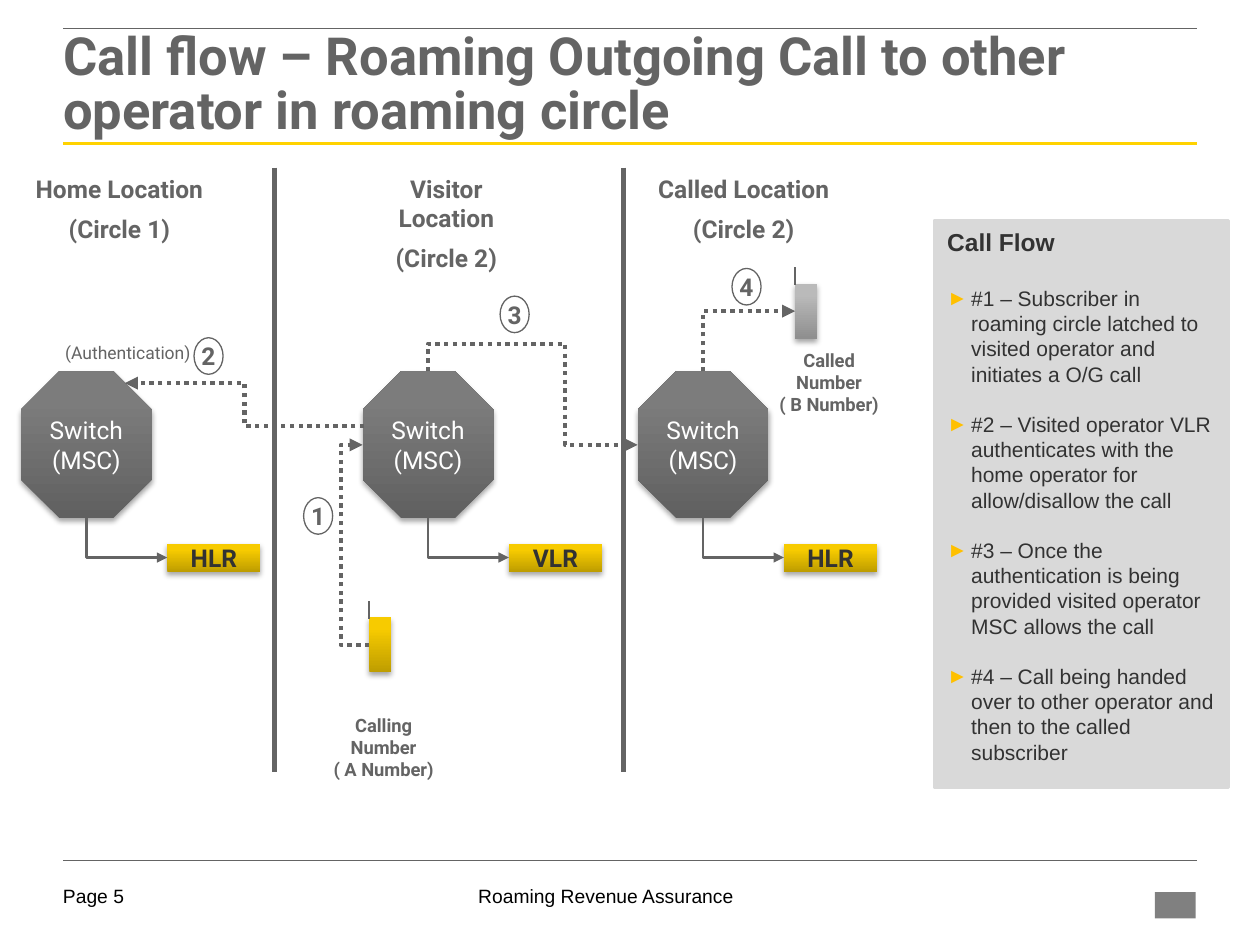
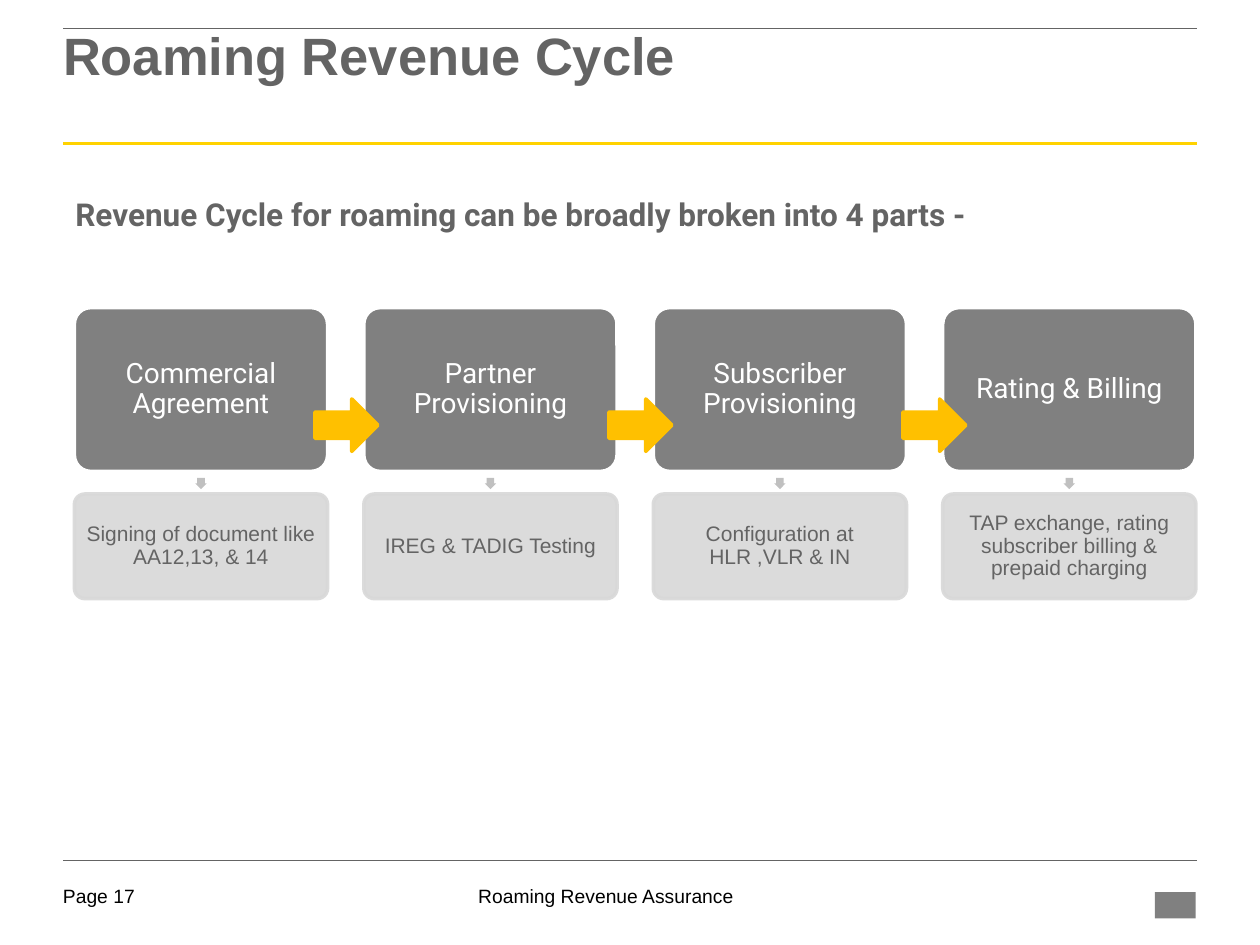
from dataclasses import dataclass

from lxml import etree
from pptx import Presentation
from pptx.dml.color import RGBColor
from pptx.enum import dml, shapes, text
from pptx.oxml.ns import qn
from pptx.util import Pt

KIND = shapes.MSO_SHAPE
ALIGN = text.PP_ALIGN
ANCHOR = text.MSO_ANCHOR


@dataclass(frozen=True)
class Theme:
    sans: str = "Arial"
    display: str = "Roboto"
    grey: str = "646464"
    dark: str = "323232"
    black: str = "000000"
    white: str = "FFFFFF"
    rule: str = "FFD200"
    accent: str = "FFC000"
    card: str = "808080"
    panel: str = "D9D9D9"
    detail: str = "D8D8D8"
    pointer: str = "C0C0C0"
    switch_shade: tuple = ("606060", "7C7C7C")
    gold_shade: tuple = ("BE9D00", "F7CB00")
    silver_shade: tuple = ("8F8F8F", "BABABA")
    title: float = 30
    lead: float = 18
    step: float = 16
    label: float = 14
    body: float = 12
    footer: float = 11
    phone: float = 10.5
    note: float = 10


T = Theme()


def points(*lengths):
    return [Pt(length) for length in lengths]


def rgb(code):
    return RGBColor.from_string(code)


def add_xml(parent, tag, **attributes):
    return etree.SubElement(parent, qn(tag), {k: str(v) for k, v in attributes.items()})


def style_runs(paragraph, size, color, font, bold=False):
    for run in paragraph.runs:
        run.font.size, run.font.bold, run.font.name = Pt(size), bold, font
        run.font.color.rgb = rgb(color)


def write(shape, words, size, color=T.grey, font=T.display, bold=False, align=ALIGN.CENTER,
          anchor=ANCHOR.TOP, insets=(7.2, 3.6, 7.2, 3.6), wrap=True, before=0, spacing=None):
    frame = shape.text_frame
    frame.text = words
    frame.auto_size = text.MSO_AUTO_SIZE.NONE
    frame.word_wrap, frame.vertical_anchor = wrap, anchor
    (frame.margin_left, frame.margin_top,
     frame.margin_right, frame.margin_bottom) = points(*insets)
    for index, paragraph in enumerate(frame.paragraphs):
        paragraph.alignment = align
        if before and index:
            paragraph.space_before = Pt(before)
        if spacing:
            paragraph.line_spacing = spacing
        style_runs(paragraph, size, color, font, bold)


def add_label(slide, box, words, size, **style):
    write(slide.shapes.add_textbox(*points(*box)), words, size, **style)


def add_block(slide, kind, box, fill=None, outline=None, width=2):
    block = slide.shapes.add_shape(kind, *points(*box))
    block.shadow.inherit = False
    if fill:
        block.fill.solid()
        block.fill.fore_color.rgb = rgb(fill)
    else:
        block.fill.background()
    if outline:
        block.line.color.rgb, block.line.width = rgb(outline), Pt(width)
    else:
        block.line.fill.background()
    return block


def add_shaded(slide, kind, box, shade):
    """Add a block with a vertical gradient and a soft shadow below."""
    block = add_block(slide, kind, box)
    block.fill.gradient()
    block.fill.gradient_angle = 90
    for stop, color, position in zip(block.fill.gradient_stops, shade, (0, 0.8)):
        stop.color.rgb, stop.position = rgb(color), position
    effects = block._element.spPr.find(qn("a:effectLst"))
    shadow = add_xml(effects, "a:outerShdw", blurRad=Pt(3.1), dist=Pt(1.8),
                     dir=5400000, rotWithShape=0)
    add_xml(add_xml(shadow, "a:srgbClr", val=T.black), "a:alpha", val=35000)
    return block


def add_line(slide, start, end, color=T.grey, width=1.25, kind=shapes.MSO_CONNECTOR.STRAIGHT):
    line = slide.shapes.add_connector(kind, *points(*start, *end))
    line.line.color.rgb, line.line.width = rgb(color), Pt(width)
    add_xml(line._element.spPr, "a:effectLst")
    return line


def add_elbow(slide, start, end, bends, turn, flip=None, adjust=(), dotted=True):
    """Add a bent arrow; its unturned box is centred between start and end."""
    width, height = abs(end[0] - start[0]), abs(end[1] - start[1])
    if turn % 180:
        width, height = height, width
    left = (start[0] + end[0] - width) / 2
    top = (start[1] + end[1] - height) / 2
    arrow = add_line(slide, (left, top), (left + width, top + height),
                     width=2.5 if dotted else 1.5, kind=shapes.MSO_CONNECTOR.ELBOW)
    if dotted:
        arrow.line.dash_style = dml.MSO_LINE.ROUND_DOT
    add_xml(arrow.line._get_or_add_ln(), "a:tailEnd", type="triangle")
    properties = arrow._element.spPr
    placing = properties.find(qn("a:xfrm"))
    placing.set("rot", str(turn * 60000))
    if flip:
        placing.set(flip, "1")
    geometry = properties.find(qn("a:prstGeom"))
    geometry.set("prst", f"bentConnector{bends}")
    guides = geometry.find(qn("a:avLst"))
    for number, value in enumerate(adjust, 1):
        add_xml(guides, "a:gd", name=f"adj{number}", fmla=f"val {round(value * 100000)}")


def add_page(deck, title, page, title_font):
    """Add a slide with the shared rules, footer and formatted title."""
    slide = deck.slides.add_slide(deck.slide_layouts[5])
    for y, color, width in ((16, T.grey, 0.5), (82, T.rule, 1.5), (491.5, T.grey, 0.25)):
        add_line(slide, (36, y), (684, y), color, width)
    footer = dict(size=T.footer, color=T.black, font=T.sans, insets=(0, 0, 0, 0))
    add_label(slide, (198, 505.4, 296.6, 16.6), "Roaming Revenue Assurance", **footer)
    add_label(slide, (36, 505.4, 52.6, 16), f"Page {page}", align=ALIGN.LEFT, **footer)
    add_block(slide, KIND.RECTANGLE, (660, 509.8, 23.3, 15), T.card)
    heading = slide.shapes.title
    heading.left, heading.top, heading.width, heading.height = points(36, 16, 648, 67.7)
    write(heading, title, T.title, font=title_font, bold=True, align=ALIGN.LEFT,
          insets=(0, 2.9, 0, 0), spacing=0.85)
    return slide


def add_location(slide, left, heading_left, heading, register):
    """Add one network column: heading, switch and the register below it."""
    add_label(slide, (heading_left, 95.8, 112.5, 64), heading, T.label, bold=True, before=6)
    middle = dict(anchor=ANCHOR.MIDDLE, wrap=False)
    switch = add_shaded(slide, KIND.OCTAGON, (left, 212.2, 74.8, 83.8), T.switch_shade)
    switch.adjustments[0] = 0.293
    write(switch, "Switch\n(MSC)", T.label, color=T.white, **middle)
    store = add_shaded(slide, KIND.RECTANGLE, (left + 83.6, 311, 53.3, 15.8), T.gold_shade)
    write(store, register, T.label, color=T.dark, bold=True, **middle)
    add_elbow(slide, (left + 37.4, 296), (left + 83.6, 318.6), 2, 270, "flipH", dotted=False)


def add_phone(slide, left, top, shade, label_box, label):
    add_shaded(slide, KIND.RECTANGLE, (left, top, 12.4, 31.5), shade)
    add_line(slide, (left, top + 0.7), (left, top - 9.5))
    add_label(slide, label_box, label, T.phone, bold=True)


def add_call_notes(slide, box, heading, notes):
    panel = add_block(slide, KIND.RECTANGLE, box, T.panel, T.panel)
    write(panel, "\n".join([heading, *notes]), T.body, T.dark, T.sans, align=ALIGN.LEFT)
    first, *items = panel.text_frame.paragraphs
    style_runs(first, T.label, T.dark, T.sans, True)
    for index, item in enumerate(items):
        layout = item._p.get_or_add_pPr()
        layout.set("marL", str(Pt(13.7)))
        layout.set("indent", str(Pt(-13.7)))
        add_xml(add_xml(layout, "a:buClr"), "a:srgbClr", val=T.accent)
        add_xml(layout, "a:buFont", typeface=T.sans)
        add_xml(layout, "a:buChar", char="►")
        item.space_before = Pt(14.4 if index else 16.8)


def build_call_flow(deck):
    slide = add_page(deck, "Call flow – Roaming Outgoing Call to other operator in roaming circle",
                     5, T.display)
    home, visited, called = 12, 207.2, 364.4
    for x in (157, 356.4):
        add_line(slide, (x, 95.8), (x, 441.4), width=3)
    for left, heading_left, heading, register in (
            (home, 12, "Home Location\n(Circle 1)", "HLR"),
            (visited, 198.8, "Visitor Location\n(Circle 2)", "VLR"),
            (called, 368.7, "Called Location\n(Circle 2)", "HLR")):
        add_location(slide, left, heading_left, heading, register)
    add_phone(slide, 454.4, 162, T.silver_shade, (437.8, 195.8, 72, 58.3),
              "Called Number\n( B Number)")
    add_phone(slide, 211, 352.8, T.gold_shade, (177.8, 404.6, 82.8, 45),
              "Calling Number\n( A Number)")

    add_elbow(slide, (211, 368.6), (visited, 254.2), 3, 180, adjust=(4.3,))
    add_elbow(slide, (208, 243.4), (71.3, 218.9), 3, 180, adjust=(0.5,))
    add_elbow(slide, (visited + 37.4, 212.2), (called, 254.2), 4, 90, "flipV", (-0.375, 0.655))
    add_elbow(slide, (called + 37.4, 212.2), (454.4, 177.8), 2, 270)
    add_label(slide, (30.2, 192.2, 102.2, 19.4), "(Authentication)", T.note, align=ALIGN.LEFT)
    for number, left, top in ((1, 173.5, 284.4), (2, 110.9, 193), (3, 285.8, 169.2),
                              (4, 418.3, 153.4)):
        marker = add_block(slide, KIND.OVAL, (left, top, 16.6, 20.9), outline=T.grey, width=0.75)
        write(marker, str(number), T.label, bold=True, anchor=ANCHOR.MIDDLE, wrap=False)

    add_call_notes(slide, (534.2, 126, 167.8, 324), "Call Flow", (
        "#1 – Subscriber in roaming circle latched to visited operator and initiates a O/G call",
        "#2 – Visited operator VLR authenticates with the home operator for allow/disallow the call",
        "#3 – Once the authentication is being provided visited operator MSC allows the call",
        "#4 – Call being handed over to other operator and then to the called subscriber"))


def add_stage(slide, left, top, name, detail):
    """Add a stage card, its small pointer and the detail card below."""
    inner = dict(anchor=ANCHOR.MIDDLE, insets=(1.4,) * 4, spacing=0.9)
    card = add_block(slide, KIND.ROUNDED_RECTANGLE, (left, top, 144.7, 93.6), T.card, T.white)
    write(card, name, T.step, color=T.white, **inner)
    pointer = add_block(slide, KIND.RIGHT_ARROW, (left + 69.1, top + 97.2, 6.5, 6.5), T.pointer)
    pointer.rotation = 90
    pointer.adjustments[0] = 0.667
    note = add_block(slide, KIND.ROUNDED_RECTANGLE, (left, top + 106.5, 144.7, 59.8),
                     T.detail, T.detail)
    for color in list(note._element.spPr.iter(qn("a:srgbClr"))):
        add_xml(color, "a:alpha", val=90000)
    write(note, detail, T.body, font=T.sans, **inner)
    for block in (card, note):
        block.adjustments[0] = 0.1


def build_revenue_cycle(deck):
    slide = add_page(deck, "Roaming Revenue Cycle", 17, T.sans)
    add_label(slide, (36, 108, 630, 28.8),
              "Revenue Cycle for roaming can be broadly broken into 4 parts -",
              T.lead, bold=True, align=ALIGN.LEFT)
    stages = (("Commercial Agreement", "Signing of document like AA12,13, & 14"),
              ("Partner Provisioning", "IREG & TADIG Testing"),
              ("Subscriber Provisioning", "Configuration at\vHLR ,VLR & IN"),
              ("Rating & Billing", "TAP exchange, rating subscriber billing & prepaid charging"))
    for index, (name, detail) in enumerate(stages):
        add_stage(slide, 42.5 + index * 165.4, 175.8, name, detail)
    for index in range(len(stages) - 1):
        add_block(slide, KIND.RIGHT_ARROW, (180 + index * 168, 228, 36, 30), T.accent, T.accent)


def main():
    deck = Presentation()
    deck.slide_width, deck.slide_height = points(720, 540)
    build_call_flow(deck)
    build_revenue_cycle(deck)
    deck.save("out.pptx")


if __name__ == "__main__":
    main()
